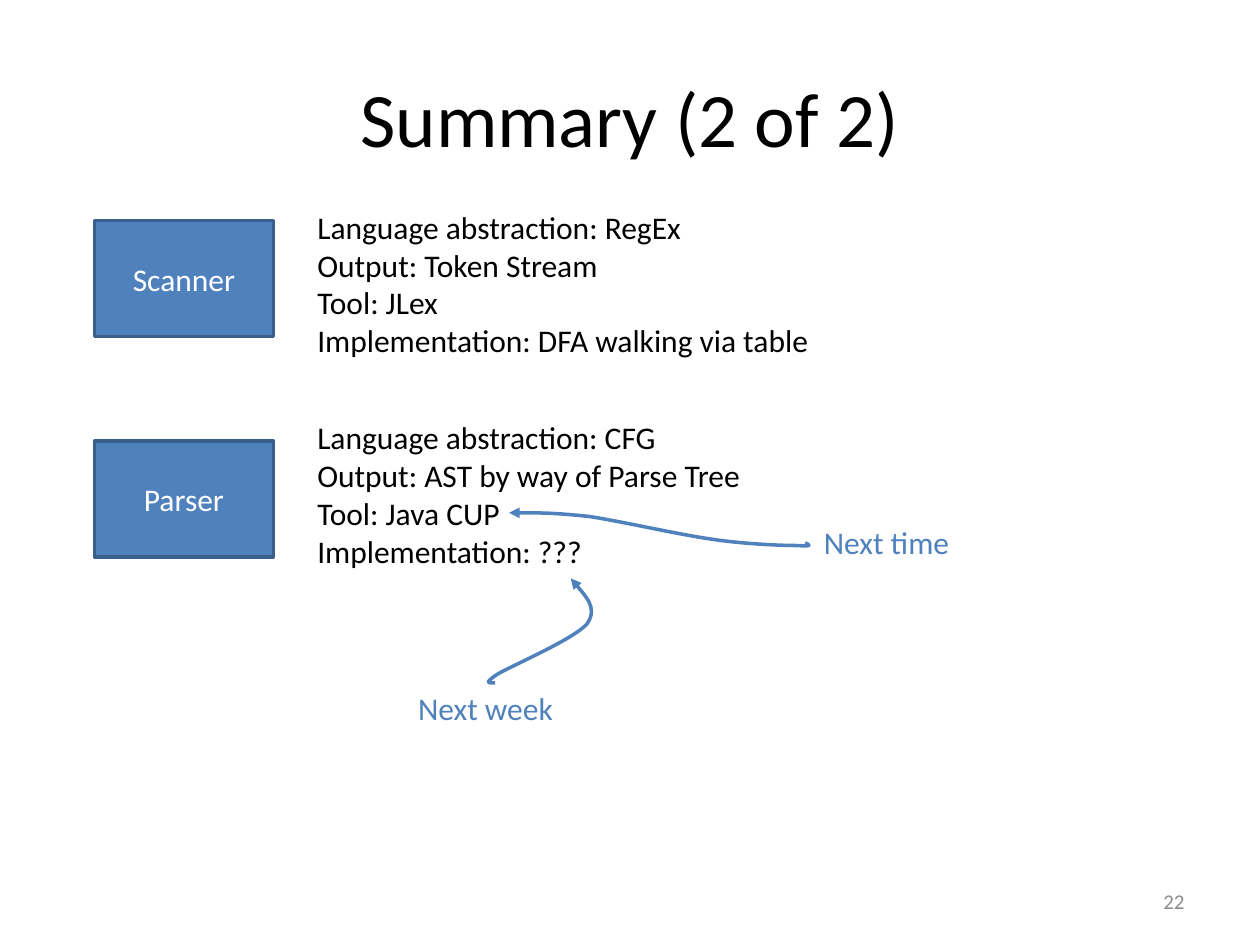
import pptx
import pptx.dml.color
import pptx.enum.shapes
import pptx.enum.text
import pptx.oxml
import pptx.oxml.ns
import pptx.util

Inches = pptx.util.Inches
Align = pptx.enum.text.PP_ALIGN
Anchor = pptx.enum.text.MSO_ANCHOR
BLUE, EDGE, BLACK, WHITE, GREY = "4F81BD", "3A5F8C", "000000", "FFFFFF", "8C8C8C"


def color(value):
    return pptx.dml.color.RGBColor.from_string(value)


def write(shape, lines, size=18, ink=BLACK, align=Align.LEFT, anchor=Anchor.TOP, wrap=True):
    frame = shape.text_frame
    frame.word_wrap = wrap
    frame.vertical_anchor = anchor
    frame.text = "\n".join(lines)
    for para in frame.paragraphs:
        para.alignment = align
        para.font.name = "Calibri"
        para.font.size = pptx.util.Pt(size)
        para.font.color.rgb = color(ink)


def add_text(page, box, lines, **style):
    write(page.shapes.add_textbox(*map(Inches, box)), lines, **style)


def set_outline(shape, ink):
    shape.shadow.inherit = False
    shape.line.color.rgb = color(ink)
    shape.line.width = pptx.util.Pt(2)


def add_phase(page, box, name, facts, facts_top, facts_width):
    """Blue box with the facts about that compiler phase to its right."""
    left, _, width, _ = box
    block = page.shapes.add_shape(pptx.enum.shapes.MSO_SHAPE.RECTANGLE, *map(Inches, box))
    block.fill.solid()
    block.fill.fore_color.rgb = color(BLUE)
    set_outline(block, EDGE)
    write(block, [name], ink=WHITE, align=Align.CENTER, anchor=Anchor.MIDDLE)
    add_text(page, (left + width + 0.25, facts_top, facts_width, 1.31), facts, wrap=False)


def add_curved_arrow(page, start, points):
    """Bezier arrow; every three points are two controls and an end."""
    builder = page.shapes.build_freeform(*map(Inches, start))
    builder.add_line_segments([(Inches(x), Inches(y)) for x, y in points], close=False)
    arrow = builder.convert_to_shape()
    arrow.fill.background()
    set_outline(arrow, BLUE)
    qn, namespace = pptx.oxml.ns.qn, pptx.oxml.ns.nsdecls("a")
    # Turn each three straight segments into one curve
    segments = list(arrow.element.iter(qn("a:lnTo")))
    for first in range(0, len(segments), 3):
        curve = pptx.oxml.parse_xml(f"<a:cubicBezTo {namespace}/>")
        segments[first].addprevious(curve)
        for segment in segments[first:first + 3]:
            curve.append(segment[0])
            segment.getparent().remove(segment)
    head = pptx.oxml.parse_xml(f'<a:tailEnd {namespace} type="triangle"/>')
    arrow.element.spPr.find(qn("a:ln")).append(head)


def add_note(page, box, text, start, points):
    """Blue remark and the arrow that leads from it."""
    add_curved_arrow(page, start, points)
    add_text(page, box, [text], ink=BLUE, wrap=False)


deck = pptx.Presentation()
deck.slide_width, deck.slide_height = Inches(10), Inches(7.5)
page = deck.slides.add_slide(deck.slide_layouts[6])

# Title and page number
add_text(page, (0.5, 0.3, 9, 1.25), ["Summary (2 of 2)"], size=44,
         align=Align.CENTER, anchor=Anchor.MIDDLE)
add_text(page, (7.17, 6.95, 2.33, 0.4), ["22"], size=12, ink=GREY,
         align=Align.RIGHT, anchor=Anchor.MIDDLE)

# Compiler phases
add_phase(page, (0.75, 1.75, 1.42, 0.92), "Scanner",
          ["Language abstraction: RegEx", "Output: Token Stream", "Tool: JLex",
           "Implementation: DFA walking via table"], 1.6, 4.15)
add_phase(page, (0.75, 3.5, 1.42, 0.92), "Parser",
          ["Language abstraction: CFG", "Output: AST by way of Parse Tree",
           "Tool: Java CUP", "Implementation: ???"], 3.27, 3.6)

# Remarks on what comes next
add_note(page, (6.44, 4.1, 1.21, 0.4), "Next time", (6.39, 4.31),
         [(6.42, 4.32), (6.46, 4.34), (6.33, 4.33),
          (6.21, 4.33), (5.92, 4.32), (5.65, 4.28),
          (5.37, 4.24), (4.94, 4.14), (4.68, 4.1),
          (4.41, 4.07), (4.23, 4.07), (4.04, 4.07)])
add_note(page, (3.22, 5.42, 1.28, 0.4), "Next week", (3.93, 5.42),
         [(3.88, 5.42), (3.83, 5.43), (3.95, 5.35),
          (4.07, 5.28), (4.56, 5.07), (4.66, 4.95),
          (4.75, 4.82), (4.53, 4.59), (4.53, 4.59)])

deck.save("out.pptx")
